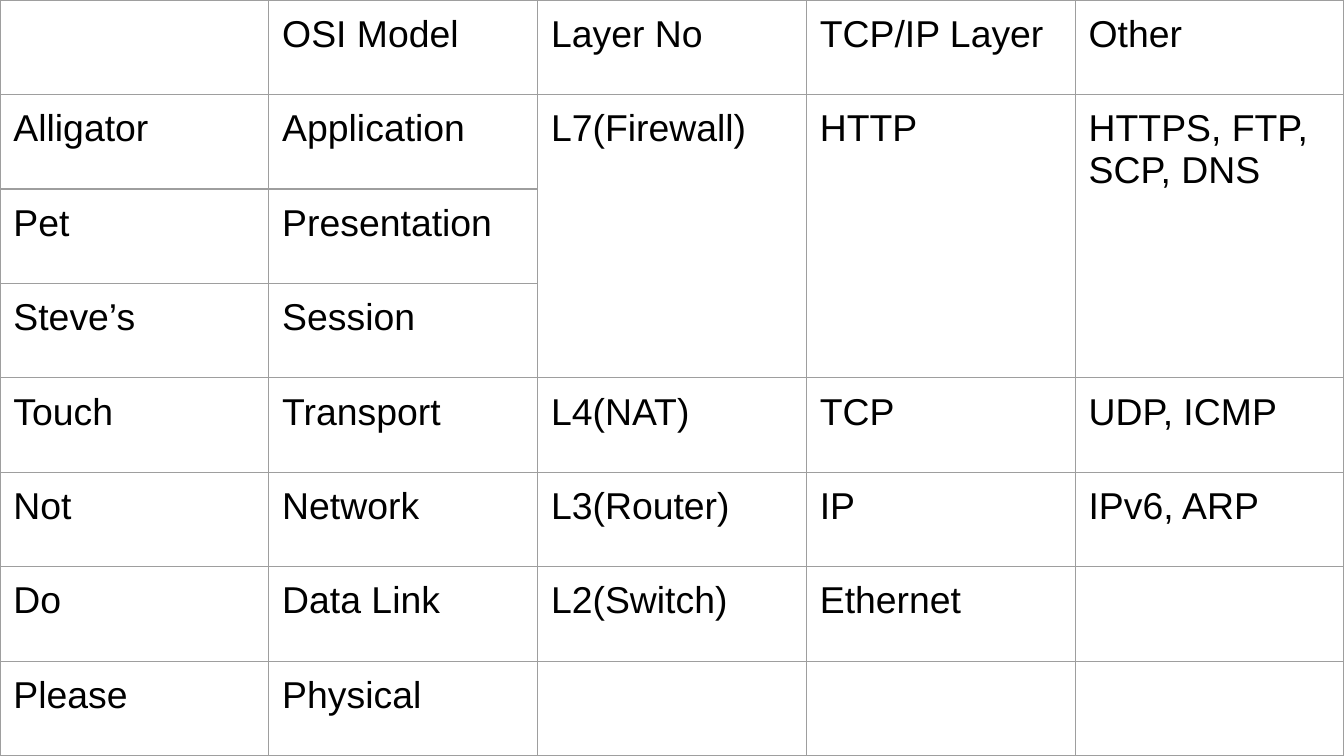
from dataclasses import dataclass

from lxml import etree
from pptx import Presentation
from pptx.dml.color import RGBColor
from pptx.enum import text
from pptx.oxml import ns
from pptx.util import Pt


@dataclass(frozen=True)
class Theme:
    font: str = "Arial"
    size: float = 20
    ink: str = "000000"
    border: str = "9E9E9E"
    border_width: float = 0.75
    inset: float = 7.2


WIDTH, HEIGHT = 720, 405
ROWS = [
    ["", "OSI Model", "Layer No", "TCP/IP Layer", "Other"],
    ["Alligator", "Application", "L7(Firewall)", "HTTP", "HTTPS, FTP, SCP, DNS"],
    ["Pet", "Presentation", "", "", ""],
    ["Steve’s", "Session", "", "", ""],
    ["Touch", "Transport", "L4(NAT)", "TCP", "UDP, ICMP"],
    ["Not", "Network", "L3(Router)", "IP", "IPv6, ARP"],
    ["Do", "Data Link", "L2(Switch)", "Ethernet", ""],
    ["Please", "Physical", "", "", ""],
]
APPLICATION_ROWS = (1, 3)
SHARED_COLUMNS = (2, 3, 4)


def write(frame, words, *, font, size, color, align=text.PP_ALIGN.LEFT):
    para = frame.paragraphs[0]
    para.alignment = align
    span = para.add_run()
    span.text = words
    span.font.name = font
    span.font.size = Pt(size)
    span.font.color.rgb = RGBColor.from_string(color)


class Painter:
    def __init__(self, theme, page):
        self.theme = theme
        self.page = page

    def table(self, left, top, width, height, rows, merges):
        row_count, column_count = len(rows), len(rows[0])
        frame = self.page.shapes.add_table(
            row_count, column_count, Pt(left), Pt(top), Pt(width), Pt(height)
        )
        table = frame.table
        table.first_row = False
        table.horz_banding = False
        for column in table.columns:
            column.width = Pt(width / column_count)
        for row, entries in zip(table.rows, rows):
            row.height = Pt(height / row_count)
            for cell, words in zip(row.cells, entries):
                self.cell(cell, words)
        for first, last, column in merges:
            table.cell(first, column).merge(table.cell(last, column))

    def cell(self, cell, words):
        inset = Pt(self.theme.inset)
        cell.margin_left = cell.margin_right = inset
        cell.margin_top = cell.margin_bottom = inset
        cell.vertical_anchor = text.MSO_ANCHOR.TOP
        cell.fill.background()
        self.borders(cell)
        if words:
            write(cell.text_frame, words, font=self.theme.font,
                  size=self.theme.size, color=self.theme.ink)

    def borders(self, cell):
        properties = cell._tc.get_or_add_tcPr()
        for index, side in enumerate(("lnL", "lnR", "lnT", "lnB")):
            line = etree.Element(ns.qn(f"a:{side}"), w=str(Pt(self.theme.border_width)))
            fill = etree.SubElement(line, ns.qn("a:solidFill"))
            etree.SubElement(fill, ns.qn("a:srgbClr"), val=self.theme.border)
            properties.insert(index, line)


def main():
    deck = Presentation()
    deck.slide_width, deck.slide_height = Pt(WIDTH), Pt(HEIGHT)
    page = deck.slides.add_slide(deck.slide_layouts.get_by_name("Blank"))
    merges = [(*APPLICATION_ROWS, column) for column in SHARED_COLUMNS]
    Painter(Theme(), page).table(0, 0, WIDTH, HEIGHT, ROWS, merges)
    deck.save("out.pptx")


if __name__ == "__main__":
    main()
